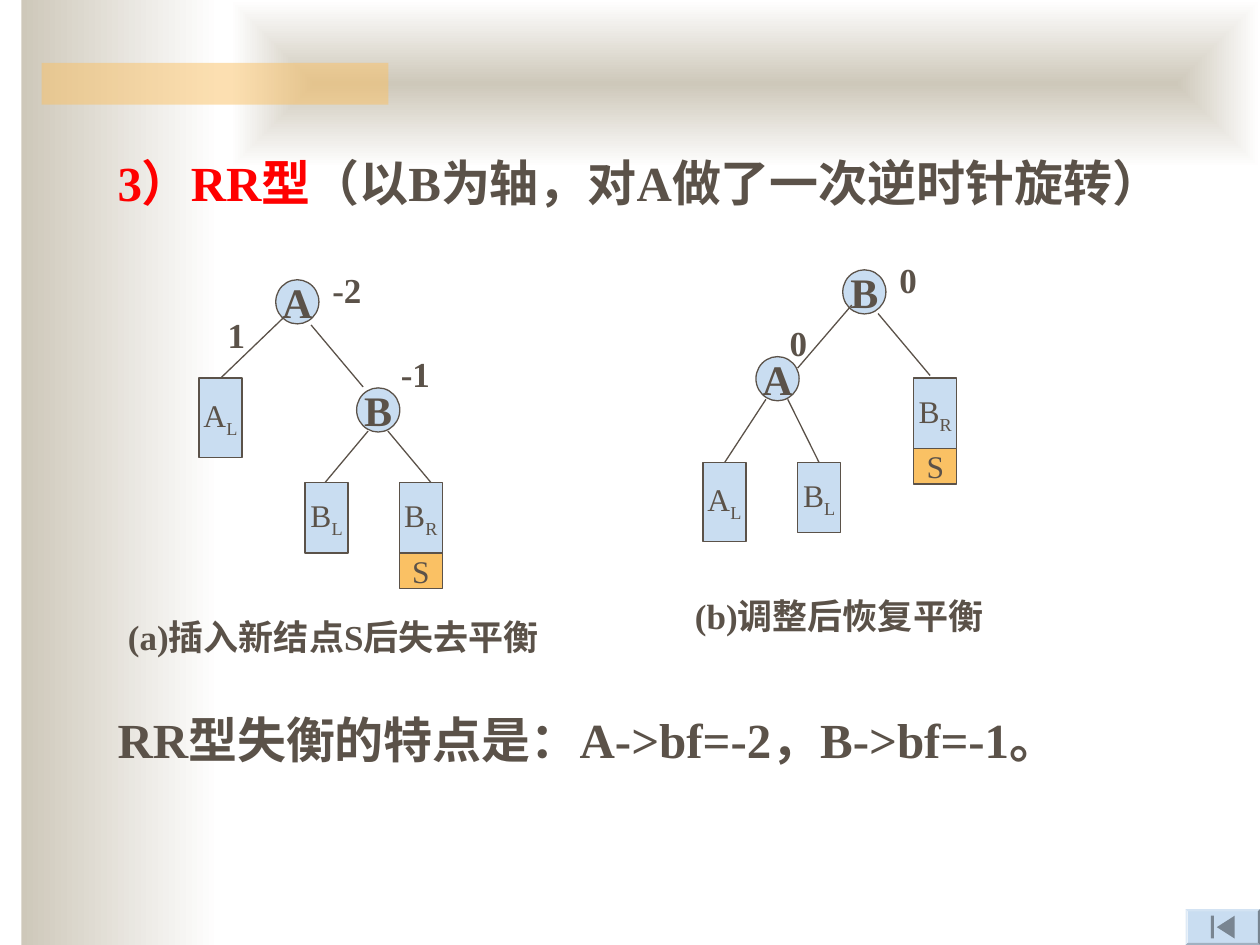
from lxml import etree
from pptx import Presentation
from pptx.dml.color import RGBColor
from pptx.enum.shapes import MSO_CONNECTOR, MSO_SHAPE
from pptx.enum.text import MSO_ANCHOR, PP_ALIGN
from pptx.oxml.ns import qn
from pptx.util import Cm, Pt

RECTANGLE, OVAL, BEVEL = MSO_SHAPE.RECTANGLE, MSO_SHAPE.OVAL, MSO_SHAPE.BEVEL
TRIANGLE = MSO_SHAPE.ISOSCELES_TRIANGLE
STRAIGHT = MSO_CONNECTOR.STRAIGHT
CENTER, MIDDLE = PP_ALIGN.CENTER, MSO_ANCHOR.MIDDLE

BROWN = RGBColor(0x5B, 0x52, 0x49)
SAND = RGBColor(0xCE, 0xC8, 0xBA)
WHITE = RGBColor(0xFF, 0xFF, 0xFF)
BLUE = RGBColor(0xC9, 0xDD, 0xF1)
SLATE = RGBColor(0x79, 0x85, 0x91)
ORANGE = RGBColor(0xFA, 0xC1, 0x64)
RED = RGBColor(0xFF, 0x00, 0x00)

LATIN_FONT, CHINESE_FONT = "Times New Roman", "Noto Sans CJK SC"
NODE_WIDTH, NODE_HEIGHT = 0.87, 0.89
SHORT, TALL, INSERTED = 1.42, 1.6, 0.72

prs = Presentation()
prs.slide_width, prs.slide_height = Cm(25.4), Cm(19.05)
slide = prs.slides.add_slide(prs.slide_layouts[6])
shapes = slide.shapes


def add_block(kind, left, top, width, height, color, outlined=False):
    block = shapes.add_shape(kind, Cm(left), Cm(top), Cm(width), Cm(height))
    block.shadow.inherit = False
    block.fill.solid()
    block.fill.fore_color.rgb = color
    if outlined:
        block.line.color.rgb = BROWN
        block.line.width = Pt(0.75)
    else:
        block.line.fill.background()
    return block


def write(frame, parts, size, bold=True):
    """Fill the first paragraph with (text, colour) parts and return its runs."""
    paragraph = frame.paragraphs[0]
    for text, color in parts:
        run = paragraph.add_run()
        run.text = text
        run.font.name = LATIN_FONT
        run.font.size = Pt(size)
        run.font.bold = bold
        run.font.color.rgb = color
        east_asian = etree.SubElement(run.font._element, qn("a:ea"))
        east_asian.set("typeface", CHINESE_FONT)
    return paragraph.runs


# Background decoration
side_band = add_block(RECTANGLE, 0.43, 0, 4.01, 19.05, SAND)
top_band = add_block(RECTANGLE, 4.65, 0, 20.75, 3.38, SAND)
for band in (side_band, top_band):
    band.fill.gradient()
    band.fill.gradient_angle = 0
    for stop, color, position in zip(band.fill.gradient_stops, (SAND, WHITE), (0, 1)):
        stop.color.rgb = color
        stop.position = position

linear = top_band._element.spPr.find(".//" + qn("a:lin"))
from_center = etree.Element(qn("a:path"), {"path": "rect"})
etree.SubElement(from_center, qn("a:fillToRect"), dict.fromkeys("ltrb", "50000"))
linear.getparent().replace(linear, from_center)

accent = add_block(RECTANGLE, 0.84, 1.27, 6.99, 0.84, ORANGE)
accent_color = accent._element.spPr.find(".//" + qn("a:srgbClr"))
etree.SubElement(accent_color, qn("a:alpha"), val="50000")

# Button back to the beginning
button = add_block(BEVEL, 23.9, 18.33, 1.5, 0.72, BLUE)
button.adjustments[0] = 0.06
add_block(RECTANGLE, 24.41, 18.46, 0.06, 0.46, SLATE)
back_arrow = add_block(TRIANGLE, 24.48, 18.51, 0.46, 0.36, SLATE)
back_arrow.rotation = 270

# Tree nodes: left (a) before, right (b) after the rotation
for name, left, top in (
    ("A", 5.56, 5.64), ("B", 7.19, 7.82),
    ("B", 16.99, 5.44), ("A", 15.24, 7.19),
):
    node = add_block(OVAL, left, top, NODE_WIDTH, NODE_HEIGHT, BLUE, outlined=True)
    node.text_frame.word_wrap = False
    node.text_frame.vertical_anchor = MIDDLE
    node.text_frame.paragraphs[0].alignment = CENTER
    write(node.text_frame, [(name, BROWN)], 24)

# Subtrees, with the inserted node S below each BR
for name, side, left, top, height, color in (
    ("A", "L", 4.01, 7.62, TALL, BLUE),
    ("B", "L", 6.15, 9.73, SHORT, BLUE),
    ("B", "R", 8.05, 9.73, SHORT, BLUE),
    ("S", "", 8.05, 9.73 + SHORT, INSERTED, ORANGE),
    ("A", "L", 14.17, 9.32, TALL, BLUE),
    ("B", "L", 16.08, 9.32, SHORT, BLUE),
    ("B", "R", 18.42, 7.62, SHORT, BLUE),
    ("S", "", 18.42, 7.62 + SHORT, INSERTED, ORANGE),
):
    subtree = add_block(RECTANGLE, left, top, NODE_WIDTH, height, color, outlined=True)
    subtree.text_frame.word_wrap = False
    subtree.text_frame.vertical_anchor = MIDDLE
    subtree.text_frame.paragraphs[0].alignment = CENTER
    parts = [(text, BROWN) for text in (name, side) if text]
    for subscript in write(subtree.text_frame, parts, 18, bold=False)[1:]:
        subscript.font._element.set("baseline", "-25000")

# Branches
for x1, y1, x2, y2 in (
    (5.74, 6.38, 4.45, 7.62), (6.27, 6.55, 7.32, 7.8),
    (7.42, 8.69, 6.55, 9.73), (7.82, 8.69, 8.69, 9.73),
    (17.17, 6.15, 16.08, 7.42), (17.7, 6.32, 18.75, 7.57),
    (15.44, 8.05, 14.61, 9.32), (15.88, 8.05, 16.51, 9.32),
):
    branch = shapes.add_connector(STRAIGHT, Cm(x1), Cm(y1), Cm(x2), Cm(y2))
    branch.line.color.rgb = BROWN
    branch.line.width = Pt(0.75)
    etree.SubElement(branch._element.spPr, qn("a:effectLst"))

# Title, balance factors, captions and conclusion
title = [("3）RR型", RED), ("（以B为轴，对A做了一次逆时针旋转）", BROWN)]
conclusion = [("RR型失衡的特点是：A->bf=-2，B->bf=-1。", BROWN)]
for parts, size, left, top, width, height in (
    (title, 28, 2.12, 2.96, 22.43, 2.65),
    ([("-2", BROWN)], 20, 6.45, 5.28, 1.4, 1.11),
    ([("1", BROWN)], 20, 4.34, 6.2, 0.87, 1.11),
    ([("-1", BROWN)], 20, 7.83, 6.99, 1.4, 1.11),
    ([("0", BROWN)], 20, 17.88, 5.08, 1.4, 1.11),
    ([("0", BROWN)], 20, 15.67, 6.35, 0.87, 1.11),
    ([("(a)插入新结点S后失去平衡", BROWN)], 20, 2.33, 12.28, 8.89, 1.96),
    ([("(b)调整后恢复平衡", BROWN)], 20, 13.76, 11.85, 7.2, 1.11),
    (conclusion, 28, 2.12, 14.18, 21.17, 1.45),
):
    passage = shapes.add_textbox(Cm(left), Cm(top), Cm(width), Cm(height))
    passage.text_frame.word_wrap = True
    write(passage.text_frame, parts, size)

prs.save("out.pptx")
